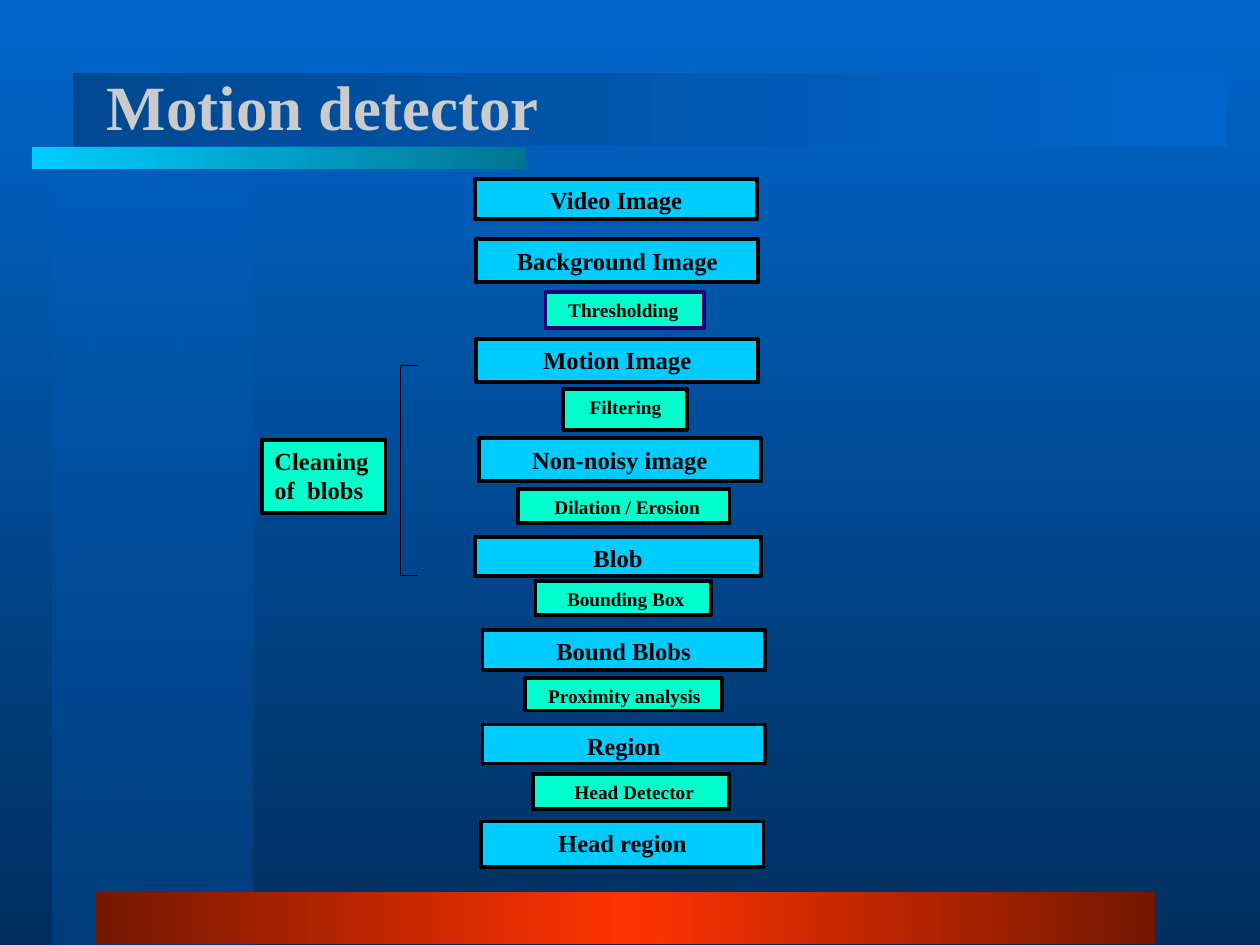
from lxml.etree import SubElement
from pptx import Presentation
from pptx.dml.color import RGBColor
from pptx.enum.shapes import MSO_CONNECTOR as CONN, MSO_SHAPE as SHAPE
from pptx.enum.text import MSO_ANCHOR as ANCHOR, PP_ALIGN as ALIGN
from pptx.oxml.ns import qn
from pptx.util import Inches, Pt

FONT = "Times New Roman"
BLACK, BLUE, CYAN, MINT = "000000", "0066CC", "00CCFF", "00FFCC"
DOWN, LEFTWARD = 270, 180  # counter-clockwise gradient angles

# left, top, width, height, text
STAGES = [
    (3.77, 1.42, 2.24, 0.32, "Video Image"),
    (3.78, 1.9, 2.24, 0.34, "Background Image"),
    (3.78, 2.69, 2.24, 0.34, "Motion Image"),
    (3.8, 3.48, 2.24, 0.34, "Non-noisy image"),
    (3.77, 4.26, 2.27, 0.31, "Blob"),
    (3.83, 5, 2.24, 0.32, "Bound Blobs"),
    (3.83, 5.75, 2.24, 0.31, "Region"),
    (3.82, 6.52, 2.24, 0.36, "Head region"),
]
# left, top, width, height, text, left inset, outline
OPERATIONS = [
    (4.33, 2.32, 1.26, 0.28, "Thresholding", 0.18, "1D0175"),
    (4.47, 3.09, 0.98, 0.32, "Filtering", 0.21, BLACK),
    (4.11, 3.88, 1.68, 0.27, "Dilation / Erosion", 0.29, BLACK),
    (4.25, 4.61, 1.39, 0.27, "Bounding Box", 0.25, BLACK),
    (4.17, 5.38, 1.56, 0.26, "Proximity analysis", 0.18, BLACK),
    (4.23, 6.14, 1.56, 0.28, "Head Detector", 0.33, BLACK),
]


def color(value):
    return RGBColor.from_string(value)


def set_gradient(fill, element, angle, stops):
    """Stops are (position, colour) or (position, colour, opacity), in percent."""
    fill.gradient()
    fill.gradient_angle = angle
    gs_list = element.find(".//" + qn("a:gsLst"))
    for gs in list(gs_list):
        gs_list.remove(gs)
    for pos, value, *opacity in stops:
        gs = SubElement(gs_list, qn("a:gs"), pos=str(pos * 1000))
        clr = SubElement(gs, qn("a:srgbClr"), val=value)
        for percent in opacity:
            SubElement(clr, qn("a:alpha"), val=str(percent * 1000))


def add_rect(slide, left, top, width, height):
    sp = slide.shapes.add_shape(SHAPE.RECTANGLE, Inches(left), Inches(top),
                                Inches(width), Inches(height))
    sp.shadow.inherit = False
    return sp


def add_band(slide, box, angle, stops):
    sp = add_rect(slide, *box)
    sp.line.fill.background()
    set_gradient(sp.fill, sp._element, angle, stops)


def write_text(tf, text, size, value, align=ALIGN.LEFT, anchor=ANCHOR.TOP):
    tf.word_wrap = True
    tf.vertical_anchor = anchor
    p = tf.paragraphs[0]
    p.alignment = align
    r = p.add_run()
    r.text = text
    r.font.name, r.font.size, r.font.bold = FONT, Pt(size), True
    r.font.color.rgb = color(value)


def add_box(slide, box, text, fill, size, align=ALIGN.LEFT, inset=0.1, outline=BLACK):
    sp = add_rect(slide, *box)
    sp.fill.solid()
    sp.fill.fore_color.rgb = color(fill)
    sp.line.color.rgb = color(outline)
    sp.line.width = Pt(2.25)
    sp.text_frame.margin_left = Inches(inset)
    write_text(sp.text_frame, text, size, BLACK, align)


def add_line(slide, x1, y1, x2, y2):
    cxn = slide.shapes.add_connector(CONN.STRAIGHT, Inches(x1), Inches(y1),
                                     Inches(x2), Inches(y2))
    cxn.line.color.rgb = color(BLACK)
    cxn.line.width = Pt(0.75)
    SubElement(cxn._element.spPr, qn("a:effectLst"))


def add_bracket(slide, left, top, right, bottom):
    add_line(slide, left, top, left, bottom)
    for y in (top, bottom):
        add_line(slide, left, y, right, y)


def add_title(slide, text):
    sp = slide.shapes.add_textbox(Inches(0.75), Inches(0.21), Inches(8.5), Inches(1.25))
    write_text(sp.text_frame, text, 36, "CBCBCB", anchor=ANCHOR.MIDDLE)


def main():
    prs = Presentation()
    prs.slide_width, prs.slide_height = Inches(10), Inches(7.5)
    slide = prs.slides.add_slide(prs.slide_layouts[6])

    # Background and decorative bands
    set_gradient(slide.background.fill, slide._element, DOWN,
                 [(0, BLUE), (100, "002F5E")])
    add_band(slide, (0.42, 0, 1.58, 7.5), DOWN, [(0, BLUE, 50), (100, "003E7D")])
    add_band(slide, (0.75, 7.08, 8.42, 0.41), LEFTWARD,
             [(0, "751700"), (50, "FF3300"), (100, "751700")])
    add_band(slide, (0.58, 0.58, 9.16, 0.58), LEFTWARD, [(0, BLUE), (100, "004891")])
    add_band(slide, (0.25, 1.17, 3.92, 0.17), LEFTWARD, [(0, "007592"), (100, CYAN)])

    add_title(slide, "Motion detector")

    # Image stages and the operations between them
    for *box, text in STAGES:
        add_box(slide, box, text, CYAN, 14, ALIGN.CENTER)
    for *box, text, inset, outline in OPERATIONS:
        add_box(slide, box, text, MINT, 11, inset=inset, outline=outline)

    # Bracket around the cleaning steps, with its label
    add_bracket(slide, 3.18, 2.9, 3.32, 4.57)
    add_box(slide, (2.08, 3.49, 0.98, 0.58), "Cleaning of  blobs", MINT, 14)

    prs.save("out.pptx")


if __name__ == "__main__":
    main()
